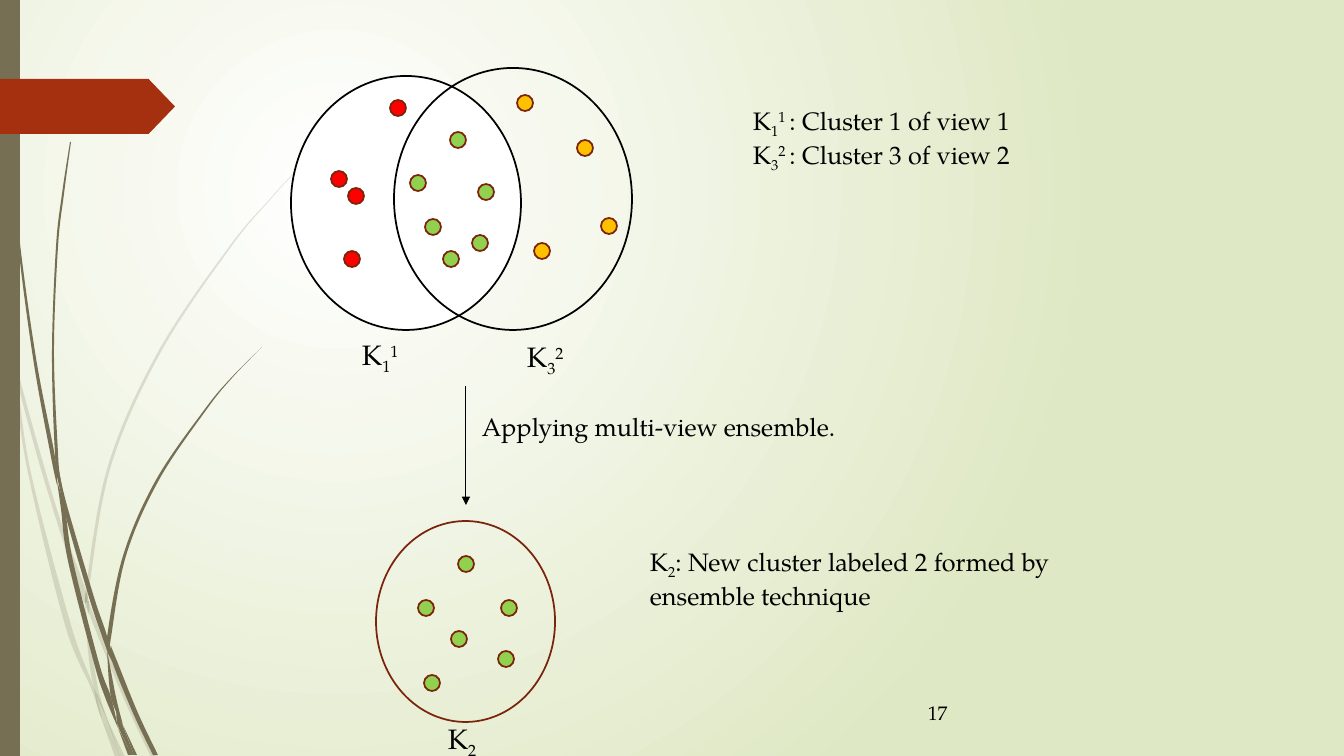
from lxml import etree
from pptx import Presentation
from pptx.dml.color import RGBColor
from pptx.enum.shapes import MSO_CONNECTOR, MSO_SHAPE
from pptx.enum.text import MSO_ANCHOR
from pptx.oxml.ns import qn
from pptx.util import Emu, Pt

OVAL, RECTANGLE, TAG = MSO_SHAPE.OVAL, MSO_SHAPE.RECTANGLE, MSO_SHAPE.PENTAGON
STRAIGHT = MSO_CONNECTOR.STRAIGHT
MIDDLE, TOP = MSO_ANCHOR.MIDDLE, MSO_ANCHOR.TOP

PX_EMU = 914400 / 100.8
FONT = "TeX Gyre Pagella"
DOT_SIZE = 16
SUB, SUPER = -25000, 30000

BLACK = RGBColor(0x00, 0x00, 0x00)
WHITE = RGBColor(0xFF, 0xFF, 0xFF)
PALE_GREEN = RGBColor(0xDF, 0xE8, 0xC4)
OLIVE = RGBColor(0x76, 0x6F, 0x54)
RUST = RGBColor(0xA5, 0x30, 0x10)
DARK_RUST = RGBColor(0x7A, 0x24, 0x0C)
RED = RGBColor(0xFF, 0x00, 0x00)
GREEN = RGBColor(0x92, 0xD0, 0x50)
AMBER = RGBColor(0xFF, 0xC0, 0x00)

# Grass blades in sections: rows of (y, left edge, right edge) from tip to root
FAINT_BLADES = [
    [(284, 0, 0), (301, 0, 4), (325, 6, 9), (353, 11, 11)],
    [(348, 14, 14), (379, 17, 20), (452, 36, 40), (525, 58, 62), (591, 80, 86),
     (604, 85, 85)],
    [(601, 89, 89), (613, 89, 93), (699, 124, 128), (757, 151, 156)],
    [(717, 106, 106), (757, 120, 125)],
    [(353, 11, 11), (379, 14, 17), (473, 28, 31), (625, 65, 71), (688, 91, 94),
     (720, 102, 102)],
    [(604, 85, 85), (651, 88, 92), (688, 94, 98), (717, 106, 106)],
    [(154, 314, 315), (176, 291, 292), (200, 269, 270), (247, 229, 231),
     (352, 158, 161), (466, 108, 111), (589, 86, 89), (601, 89, 89)],
    [(720, 102, 102), (757, 115, 120)],
    [(591, 86, 86), (603, 85, 89), (615, 89, 89)],
    [(688, 94, 94), (715, 100, 106), (757, 120, 120)],
]
DARK_BLADES = [
    [(0, 3, 4), (48, 4, 5), (111, 7, 8), (235, 17, 19), (358, 33, 36),
     (457, 51, 55), (485, 57, 57)],
    [(476, 60, 60), (509, 64, 68), (597, 89, 94), (636, 102, 107), (650, 107, 107)],
    [(646, 111, 111), (661, 112, 117), (713, 133, 138), (755, 153, 158)],
    [(481, 57, 57), (509, 61, 65), (561, 68, 73), (663, 94, 99), (697, 105, 111),
     (728, 118, 118)],
    [(142, 70, 71), (194, 62, 64), (247, 56, 58), (352, 52, 54), (453, 55, 58),
     (476, 60, 60)],
    [(725, 123, 123), (755, 134, 137)],
    [(453, 55, 55), (476, 57, 60), (509, 65, 65)],
    [(347, 262, 262), (377, 232, 233), (409, 205, 207), (480, 156, 159),
     (556, 123, 126), (638, 107, 111), (646, 111, 111)],
    [(728, 118, 118), (755, 128, 132)],
    [(650, 107, 107), (697, 111, 116), (725, 123, 123)],
    [(636, 107, 107), (650, 107, 111), (661, 112, 112)],
    [(697, 111, 111), (711, 116, 117), (726, 118, 123), (755, 132, 134)],
]

# Left top corners of the cluster members
DOTS = [
    (RED, [(331, 171), (344, 251), (390, 100), (348, 188)]),
    (GREEN, [(450, 132), (410, 175), (478, 184), (472, 235), (425, 219), (443, 251)]),
    (AMBER, [(577, 140), (601, 218), (534, 243), (517, 95)]),
    (GREEN, [(458, 556), (418, 600), (501, 600), (498, 651), (451, 631), (424, 675)]),
]

K11 = [("K", 0), ("1", SUB), ("1", SUPER)]
K32 = [("K", 0), ("3", SUB), ("2", SUPER)]
K2 = [("K", 0), ("2", SUB)]
LEGEND = [
    [("K", 0), ("1", SUB), ("1 ", SUPER), (": Cluster 1 of view 1", 0)],
    [("K", 0), ("3", SUB), ("2 ", SUPER), (": Cluster 3 of view 2", 0)],
]


def px(length):
    return Emu(round(length * PX_EMU))


def bend_side(lines, points):
    """Turn the straight lines between the points of one side into curves."""
    padded = [points[0], *points, points[-1]]
    for line, quad in zip(lines, zip(padded, padded[1:], padded[2:], padded[3:])):
        before, start, end, after = quad
        controls = (
            [s + (e - b) / 6 for b, s, e in zip(before, start, end)],
            [e - (a - s) / 6 for s, e, a in zip(start, end, after)],
            end,
        )
        curve = etree.Element(qn("a:cubicBezTo"))
        for x, y in controls:
            etree.SubElement(curve, qn("a:pt"), x=str(round(x)), y=str(round(y)))
        line.getparent().replace(line, curve)


def add_blade(group, rows, opacity):
    outline = [(px(left), px(y)) for y, left, _ in rows]
    outline += [(px(right), px(y)) for y, _, right in reversed(rows)]
    builder = group.shapes.build_freeform(*outline[0])
    builder.add_line_segments(outline[1:], close=True)
    shape = builder.convert_to_shape()
    style(shape, OLIVE)
    color = shape.fill._xPr.find(qn("a:solidFill"))[0]
    etree.SubElement(color, qn("a:alpha"), val=str(opacity * 1000))
    lines = list(shape._element.iter(qn("a:lnTo")))
    points = [(int(point.get("x")), int(point.get("y")))
              for point in shape._element.iter(qn("a:pt"))]
    count = len(rows)
    bend_side(lines[:count - 1], points[:count])
    bend_side(lines[count:], points[count:2 * count])


def style(shape, fill=None, line=None):
    shape.shadow.inherit = False
    if fill is None:
        shape.fill.background()
    else:
        shape.fill.solid()
        shape.fill.fore_color.rgb = fill
    if line is None:
        shape.line.fill.background()
    else:
        shape.line.color.rgb = line
        shape.line.width = Pt(1.25)


def add_shape(slide, kind, box, fill=None, line=None):
    shape = slide.shapes.add_shape(kind, *map(px, box))
    style(shape, fill, line)
    return shape


def add_text(slide, box, paragraphs, size=18, wrap=True, anchor=TOP):
    frame = slide.shapes.add_textbox(*map(px, box)).text_frame
    frame.word_wrap = wrap
    frame.vertical_anchor = anchor
    for index, runs in enumerate(paragraphs):
        paragraph = frame.add_paragraph() if index else frame.paragraphs[0]
        for text, baseline in runs:
            run = paragraph.add_run()
            run.text = text
            run.font.name = FONT
            run.font.size = Pt(size)
            run.font.color.rgb = BLACK
            if baseline:
                run._r.get_or_add_rPr().set("baseline", str(baseline))


def add_arrow(slide, start, end):
    arrow = slide.shapes.add_connector(STRAIGHT, *map(px, start + end))
    arrow.line.color.rgb = BLACK
    arrow.line.width = Pt(0.75)
    etree.SubElement(arrow.line._get_or_add_ln(), qn("a:tailEnd"), type="triangle")
    etree.SubElement(arrow._element.spPr, qn("a:effectLst"))


def set_background(slide):
    fill = slide.background.fill
    fill.gradient()
    for stop, color in zip(fill.gradient_stops, (WHITE, PALE_GREEN)):
        stop.color.rgb = color
    gradient = fill._xPr.find(qn("a:gradFill"))
    circle = etree.Element(qn("a:path"), path="circle")
    etree.SubElement(circle, qn("a:fillToRect"),
                     l="50000", t="50000", r="100000", b="100000")
    gradient.replace(gradient.find(qn("a:lin")), circle)


def main():
    presentation = Presentation()
    presentation.slide_width, presentation.slide_height = px(1344), px(756)
    slide = presentation.slides.add_slide(presentation.slide_layouts[6])

    # Backdrop
    set_background(slide)
    for blades, opacity in ((FAINT_BLADES, 20), (DARK_BLADES, 100)):
        group = slide.shapes.add_group_shape()
        for rows in blades:
            add_blade(group, rows, opacity)
    add_shape(slide, RECTANGLE, (0, 0, 20, 756), OLIVE)
    tag = add_shape(slide, TAG, (0, 79, 175, 55), RUST)
    tag.adjustments[0] = 0.48
    add_text(slide, (918, 688, 235, 50), [[("17", 0)]], size=14, anchor=MIDDLE)

    # Clusters and their members
    add_shape(slide, OVAL, (291, 76, 230, 254), WHITE, BLACK)
    add_shape(slide, OVAL, (394, 68, 238, 262), None, BLACK)
    add_shape(slide, OVAL, (376, 521, 179, 201), None, DARK_RUST)
    for color, corners in DOTS:
        for left, top in corners:
            add_shape(slide, OVAL, (left, top, DOT_SIZE, DOT_SIZE), color, DARK_RUST)

    # Ensemble step
    add_arrow(slide, (466, 386), (466, 505))
    add_text(slide, (472, 406, 477, 40), [[("Applying multi-view ensemble.", 0)]])

    # Cluster labels and explanations
    add_text(slide, (352, 333, 59, 44), [K11], size=20, wrap=False)
    add_text(slide, (517, 335, 59, 44), [K32], size=20, wrap=False)
    add_text(slide, (438, 717, 50, 44), [K2], size=20, wrap=False)
    add_text(slide, (743, 100, 330, 125), LEGEND)
    add_text(slide, (640, 541, 477, 72),
             [K2 + [(": New cluster labeled 2 formed by ensemble technique", 0)]])

    presentation.save("out.pptx")


if __name__ == "__main__":
    main()
